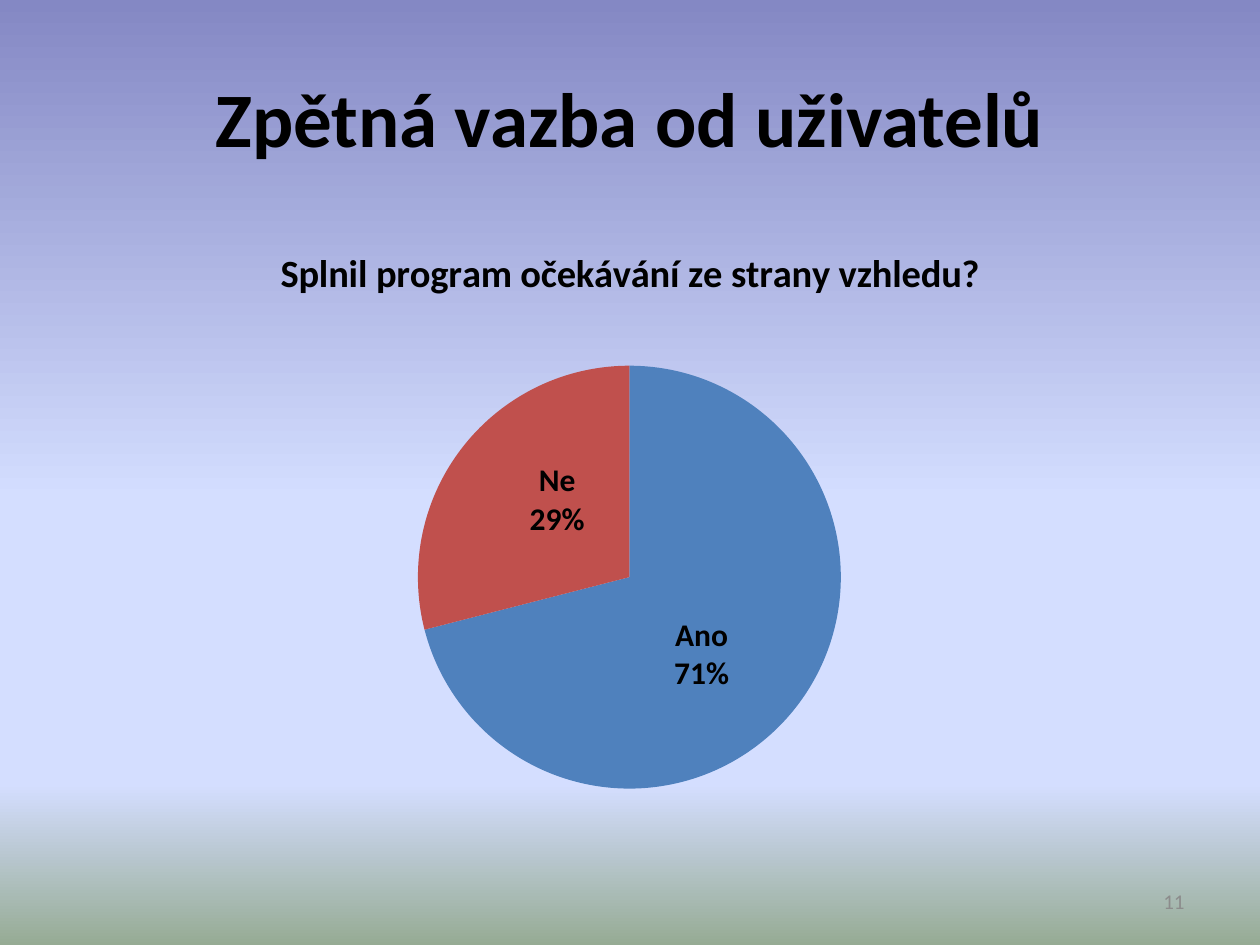
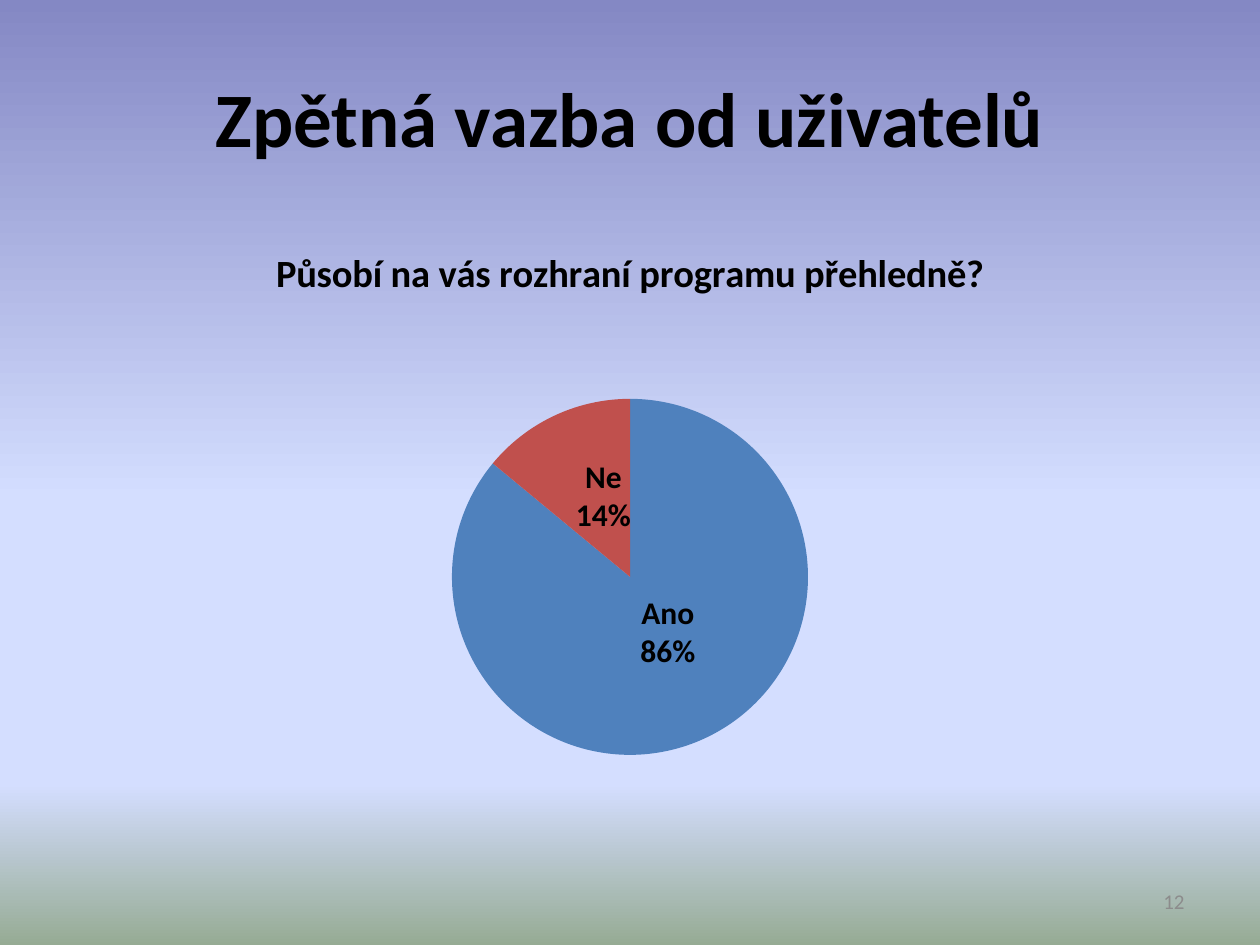
from copy import deepcopy

from lxml import etree
from pptx import Presentation
from pptx.chart.data import CategoryChartData
from pptx.dml.color import RGBColor
from pptx.enum.chart import XL_CHART_TYPE, XL_LABEL_POSITION
from pptx.enum.text import MSO_ANCHOR, PP_ALIGN
from pptx.oxml.ns import qn
from pptx.util import Inches, Pt

PIE = XL_CHART_TYPE.PIE
MID = XL_LABEL_POSITION.CENTER
ANCHOR = MSO_ANCHOR.MIDDLE
CENTER, RIGHT = PP_ALIGN.CENTER, PP_ALIGN.RIGHT

WIDTH, HEIGHT = Inches(10), Inches(7.5)
COLORS = {"sky": "8488C4", "haze": "D4DEFF", "grass": "96AB94",
          "ink": "000000", "muted": "8C8C8C", "yes": "4F81BD", "no": "C0504D"}
STOPS = [(0, "sky"), (0.53, "haze"), (0.83, "haze"), (1, "grass")]
FONTS = {
    "title": {"size": Pt(44), "bold": True, "color": "ink"},
    "chart": {"size": Pt(10), "color": "ink"},
    "query": {"size": Pt(22), "bold": True, "color": "ink"},
    "label": {"size": Pt(18), "bold": True, "color": "ink"},
    "number": {"size": Pt(12), "color": "muted"},
}
BOXES = {"title": (0.05, 0.04, 0.9, 0.167), "chart": (0.05, 0.233, 0.9, 0.66),
         "number": (0.717, 0.927, 0.233, 0.053)}
TITLE = "Zpětná vazba od uživatelů"
SLICES = {"Ano": "yes", "Ne": "no"}
PIE_MID = (0.5, 0.572)
POLLS = [
    {"number": 11, "query": "Splnil program očekávání ze strany vzhledu?",
     "values": (71, 29), "size": 3.36, "shifts": ((-0.01, 0.02), (0.01, -0.02))},
    {"number": 12, "query": "Působí na vás rozhraní programu přehledně?",
     "values": (86, 14), "size": 2.83, "shifts": ((0, -0.04), (0.01, 0))},
]


def paint(color, name):
    """Set a colour from the palette."""
    color.rgb = RGBColor.from_string(COLORS[name])


def style(font, kind):
    """Apply one of the shared font styles."""
    font.name = "Calibri"
    for key, value in FONTS[kind].items():
        if key == "color":
            paint(font.color, value)
        else:
            setattr(font, key, value)


def place(kind):
    """Turn a box in slide shares into lengths."""
    x, y, w, h = BOXES[kind]
    return [int(v) for v in (x * WIDTH, y * HEIGHT, w * WIDTH, h * HEIGHT)]


def write(shape, text, kind, align):
    """Fill a shape with one styled line."""
    frame = shape.text_frame
    frame.word_wrap = True
    frame.vertical_anchor = ANCHOR
    line = frame.paragraphs[0]
    line.alignment = align
    run = line.add_run()
    run.text = text
    style(run.font, kind)


def set_back(master):
    """Give the master its sky gradient."""
    fill = master.background.fill
    fill.gradient()
    fill.gradient_angle = 270
    stops = master.element.find(".//" + qn("a:gsLst"))
    while len(stops) < len(STOPS):
        stops.append(deepcopy(stops[0]))
    for stop, (spot, name) in zip(fill.gradient_stops, STOPS):
        stop.position = spot
        paint(stop.color, name)


def make_layout(**values):
    """Build a manual chart layout."""
    layout = etree.Element(qn("c:layout"))
    manual = etree.SubElement(layout, qn("c:manualLayout"))
    for key, value in values.items():
        etree.SubElement(manual, qn("c:" + key)).set("val", str(value))
    return layout


def set_plot(chart, size, box):
    """Centre a round pie of the given size in its chart."""
    w, h = Inches(size) / box[2], Inches(size) / box[3]
    x, y = PIE_MID[0] - w / 2, PIE_MID[1] - h / 2
    area = chart.element.find(".//" + qn("c:plotArea"))
    for old in area.findall(qn("c:layout")):
        area.remove(old)
    area.insert(0, make_layout(
        layoutTarget="inner", xMode="edge", yMode="edge",
        x=round(x, 3), y=round(y, 3), w=round(w, 3), h=round(h, 3)))


def set_labels(chart, shifts):
    """Show category and percent on each slice."""
    series = chart.plots[0].series[0]
    for i, name in enumerate(SLICES.values()):
        point = series.points[i]
        point.format.fill.solid()
        paint(point.format.fill.fore_color, name)
        style(point.data_label.font, "label")
        point.data_label.position = MID
    flags = {"showVal": "0", "showCatName": "1", "showPercent": "1"}
    for label, (x, y) in zip(chart.element.iter(qn("c:dLbl")), shifts):
        label.insert(1, make_layout(x=x, y=y))
        for key, value in flags.items():
            label.find(qn("c:" + key)).set("val", value)
        etree.SubElement(label, qn("c:separator")).text = "\n"


def add_pie(slide, poll, box):
    """Add the pie of one poll."""
    data = CategoryChartData()
    data.categories = list(SLICES)
    data.add_series("Series 1", poll["values"])
    chart = slide.shapes.add_chart(PIE, *box, data).chart
    style(chart.font, "chart")
    chart.has_legend = False
    chart.has_title = True
    frame = chart.chart_title.text_frame
    frame.text = poll["query"]
    style(frame.paragraphs[0].runs[0].font, "query")
    chart.plots[0].vary_by_categories = True
    set_labels(chart, poll["shifts"])
    set_plot(chart, poll["size"], box)


def add_poll(deck, poll):
    """Add a slide with title, pie and number."""
    slide = deck.slides.add_slide(deck.slide_layouts[5])
    title = slide.shapes.title
    title.left, title.top, title.width, title.height = place("title")
    write(title, TITLE, "title", CENTER)
    add_pie(slide, poll, place("chart"))
    note = slide.shapes.add_textbox(*place("number"))
    write(note, str(poll["number"]), "number", RIGHT)


def main():
    """Build and save the deck."""
    deck = Presentation()
    deck.slide_width, deck.slide_height = WIDTH, HEIGHT
    set_back(deck.slide_master)
    for poll in POLLS:
        add_poll(deck, poll)
    deck.save("out.pptx")


if __name__ == "__main__":
    main()
